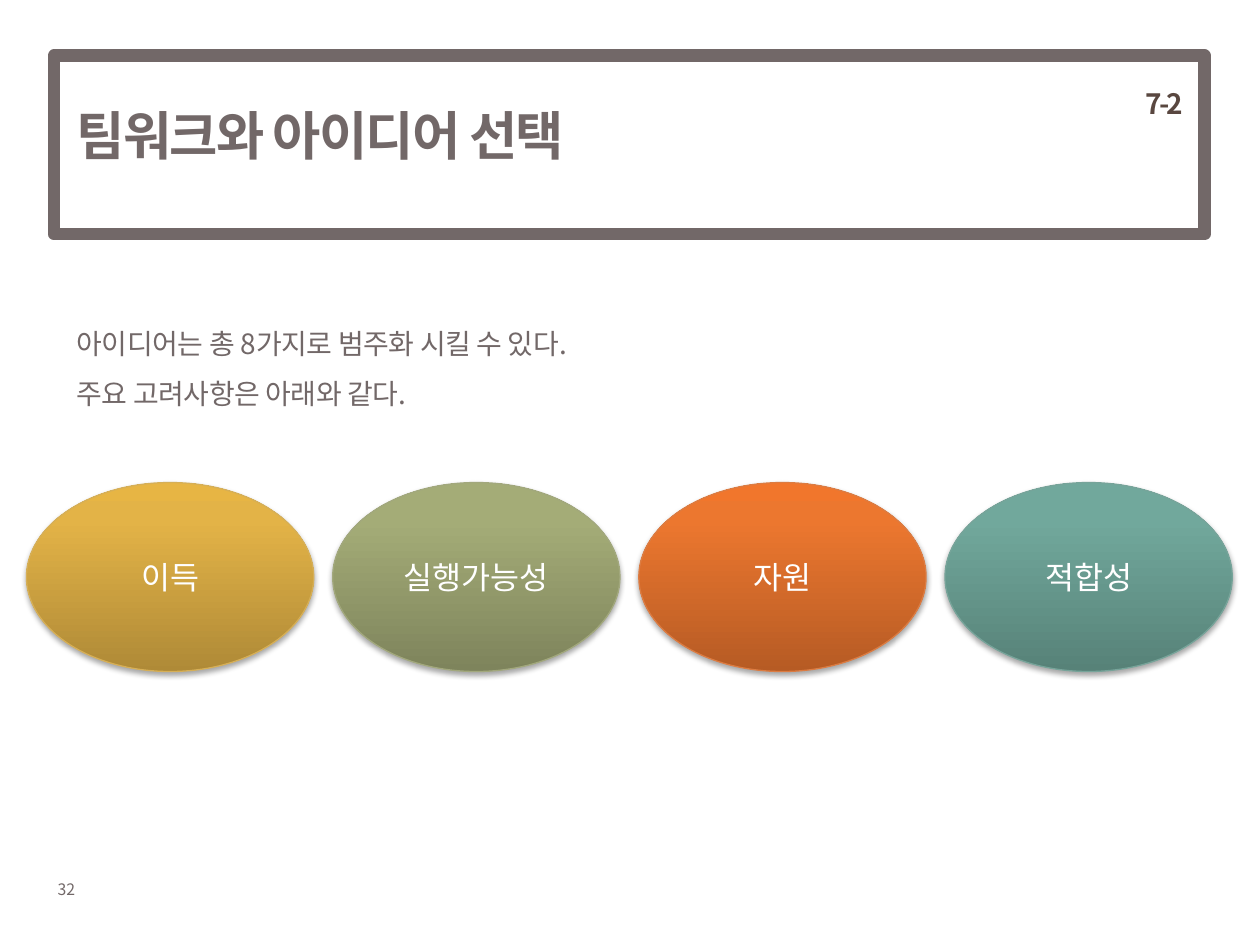
from copy import deepcopy
from lxml import etree
from pptx import Presentation
from pptx.dml.color import RGBColor
from pptx.enum.shapes import MSO_SHAPE
from pptx.enum.text import MSO_ANCHOR, PP_ALIGN
from pptx.oxml import parse_xml
from pptx.oxml.ns import qn
from pptx.util import Inches, Pt

RECT, OVAL = MSO_SHAPE.RECTANGLE, MSO_SHAPE.OVAL
TOP, MIDDLE = MSO_ANCHOR.TOP, MSO_ANCHOR.MIDDLE
LEFT, CENTER, RIGHT = PP_ALIGN.LEFT, PP_ALIGN.CENTER, PP_ALIGN.RIGHT
FACE = "Noto Sans CJK KR"
NS = "http://schemas.openxmlformats.org/drawingml/2006/main"
GRAY = RGBColor(0x72, 0x68, 0x68)
BROWN = RGBColor(0x59, 0x47, 0x40)
WHITE = RGBColor(0xFF, 0xFF, 0xFF)
GOLD = [RGBColor.from_string(c) for c in ("AF8A37", "E3B347", "E7B544", "D6AF57")]
GREEN = [RGBColor.from_string(c) for c in ("7E845C", "A4AC77", "A6AE76", "A2A87D")]
ORANGE = [RGBColor.from_string(c) for c in ("B65B24", "EC772F", "F1762C", "DC7C42")]
TEAL = [RGBColor.from_string(c) for c in ("578278", "71A89C", "70AA9D", "77A49A")]
IDEAS = [("이득", GOLD), ("실행가능성", GREEN), ("자원", ORANGE), ("적합성", TEAL)]
SHADE = (
    f'<a:outerShdw xmlns:a="{NS}" blurRad="{Pt(3.1)}" dist="{Pt(1.8)}" dir="5400000" '
    'rotWithShape="0"><a:srgbClr val="000000"><a:alpha val="35000"/></a:srgbClr></a:outerShdw>'
)


def style(para, size, color, bold=False, align=LEFT, track=0, lead=None):
    """Set the look of one paragraph."""
    para.alignment = align
    if lead:
        para.line_spacing = lead
    font = para.font
    font.size, font.bold, font.name = Pt(size), bold, FACE
    font.color.rgb = color
    props = para._p.pPr.find(qn("a:defRPr"))
    if track:
        props.set("spc", str(round(track * 100)))
    etree.SubElement(props, qn("a:ea")).set("typeface", FACE)


def write(slide, box, lines, size, color, anchor=TOP, wrap=True, **look):
    """Add a text box with one paragraph per line."""
    frame = slide.shapes.add_textbox(*map(Inches, box)).text_frame
    frame.word_wrap, frame.vertical_anchor = wrap, anchor
    frame.text = "\n".join(lines)
    for para in frame.paragraphs:
        style(para, size, color, **look)


def header(slide, box):
    """Draw the framed title with its section number."""
    x, y, w, h = box
    write(slide, (x + 0.08, y, 7.17, 1.26), ["팀워크와 아이디어 선택"], 30, GRAY,
          anchor=MIDDLE, bold=True, track=-1)
    frame = slide.shapes.add_shape(RECT, *map(Inches, box))
    frame.shadow.inherit = False
    frame.fill.background()
    frame.line.color.rgb, frame.line.width = GRAY, Pt(7)
    write(slide, (x + w - 1.87, y - 0.31, 1.8, 1.18), ["7-2"], 16, BROWN,
          bold=True, align=RIGHT, track=-1.5, lead=Pt(56))


def bubble(slide, box, label, tones):
    """Draw one shaded oval with its label."""
    oval = slide.shapes.add_shape(OVAL, *map(Inches, box))
    oval.fill.gradient()
    oval.fill.gradient_angle = 90
    stops = oval._element.spPr.find(".//" + qn("a:gsLst"))
    stops.append(deepcopy(stops[-1]))
    for stop, place, tone in zip(oval.fill.gradient_stops, (0, 0.8, 1), tones):
        stop.position, stop.color.rgb = place, tone
    oval.line.color.rgb, oval.line.width = tones[-1], Pt(0.75)
    oval.shadow.inherit = False
    oval._element.spPr.find(qn("a:effectLst")).append(parse_xml(SHADE))
    frame = oval.text_frame
    frame.text, frame.vertical_anchor = label, MIDDLE
    style(frame.paragraphs[0], 18, WHITE, align=CENTER)


def row(slide, box, ideas, gap=0.15):
    """Spread the ideas evenly across the box."""
    x, y, w, h = box
    step = (w + gap) / len(ideas)
    for i, (label, tones) in enumerate(ideas):
        bubble(slide, (x + i * step, y, step - gap, h), label, tones)


def main():
    """Build and save the slide."""
    deck = Presentation()
    deck.slide_width, deck.slide_height = Inches(10), Inches(7.5)
    slide = deck.slides.add_slide(deck.slide_layouts[6])
    write(slide, (0.36, 6.93, 0.52, 0.25), ["32"], 9, GRAY, wrap=False)
    header(slide, (0.43, 0.44, 9.13, 1.42))
    write(slide, (0.51, 2.41, 9.06, 1.89),
          ["아이디어는 총 8가지로 범주화 시킬 수 있다.", "주요 고려사항은 아래와 같다."],
          16, GRAY, track=-0.2, lead=1.5)
    row(slide, (0.21, 3.83, 9.57, 1.5), IDEAS)
    deck.save("out.pptx")


if __name__ == "__main__":
    main()
